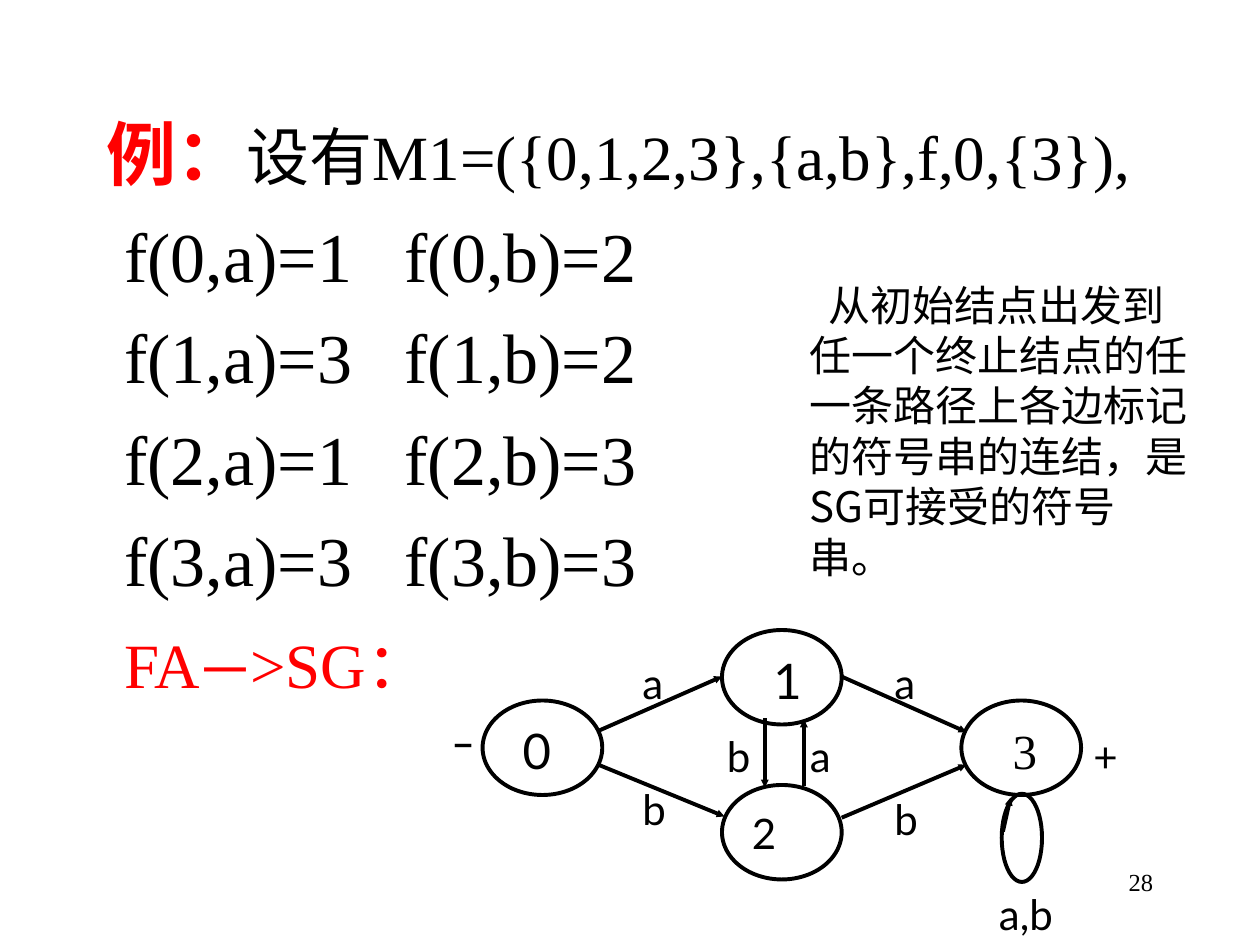
from dataclasses import dataclass
from typing import NamedTuple

from lxml.etree import SubElement
from pptx import Presentation
from pptx.dml.color import RGBColor
from pptx.enum.shapes import MSO_CONNECTOR as Connector, MSO_SHAPE as Preset
from pptx.enum.text import MSO_ANCHOR as Anchor, PP_ALIGN as Align
from pptx.oxml.ns import qn
from pptx.util import Emu, Pt

PX = 9144  # 100 px to the inch


@dataclass(frozen=True)
class Theme:
    ink: RGBColor = RGBColor(0, 0, 0)
    accent: RGBColor = RGBColor(255, 0, 0)
    serif: str = "Times New Roman"
    sans: str = "Lato"
    chinese: str = "Noto Sans CJK SC"
    large: int = 40
    body: int = 36
    state: int = 28
    note: int = 24
    number: int = 14
    stroke: float = 2.25


THEME = Theme()


class Box(NamedTuple):
    left: int
    top: int
    width: int
    height: int


class Run(NamedTuple):
    text: str
    size: int = THEME.note
    font: str = THEME.sans
    color: RGBColor = THEME.ink
    bold: bool = False
    spacing: int = 0  # extra points after each character


class State(NamedTuple):
    left: int
    top: int
    label: Run
    indent: int = 0
    anchor: Anchor = Anchor.TOP


class Edge(NamedTuple):
    x1: int
    y1: int
    x2: int
    y2: int


class Label(NamedTuple):
    text: str
    box: Box
    bold: bool = False


def px(*lengths: int) -> list[Emu]:
    return [Emu(length * PX) for length in lengths]


def add_runs(paragraph, runs: list[Run]) -> None:
    for run in runs:
        piece = paragraph.add_run()
        piece.text = run.text
        font_format = {"size": Pt(run.size), "name": run.font, "bold": run.bold}
        for name, value in font_format.items():
            setattr(piece.font, name, value)
        piece.font.color.rgb = run.color
        SubElement(piece.font._element, qn("a:ea"), typeface=THEME.chinese)
        if run.spacing:
            piece.font._element.set("spc", str(run.spacing * 100))


def add_text(shapes, box: Box, runs: list[Run], anchor=Anchor.TOP, align=Align.LEFT):
    frame = shapes.add_textbox(*px(*box)).text_frame
    frame.word_wrap = True
    frame.vertical_anchor = anchor
    frame.paragraphs[0].alignment = align
    add_runs(frame.paragraphs[0], runs)
    return frame


def indent_first_line(paragraph, indent: int) -> None:
    layout = {"marL": 0, "indent": indent * PX, "hangingPunct": 0}
    for name, value in layout.items():
        paragraph._p.get_or_add_pPr().set(name, str(value))


def add_ellipse(shapes, box: Box):
    ellipse = shapes.add_shape(Preset.OVAL, *px(*box))
    ellipse.shadow.inherit = False
    ellipse.fill.background()
    ellipse.line.color.rgb = THEME.ink
    ellipse.line.width = Pt(THEME.stroke)
    return ellipse


def add_state(shapes, state: State) -> None:
    frame = add_ellipse(shapes, Box(state.left, state.top, 95, 75)).text_frame
    frame.vertical_anchor = state.anchor
    name = frame.paragraphs[0]
    name.alignment = Align.LEFT
    indent_first_line(name, state.indent)
    add_runs(name, [state.label])


def add_edge(shapes, edge: Edge) -> None:
    arrow = shapes.add_connector(Connector.STRAIGHT, *px(*edge))
    arrow.line.color.rgb = THEME.ink
    arrow.line.width = Pt(THEME.stroke)
    SubElement(arrow.line._get_or_add_ln(), qn("a:tailEnd"),
               type="triangle", w="sm", len="sm")
    SubElement(arrow._element.spPr, qn("a:effectLst"))


# Content
DEFINITION = [
    Run("例：", THEME.large, THEME.serif, THEME.accent, True),
    Run("设有M1=({0,1,2,3},{a,b},f,0,{3}),", THEME.body, THEME.serif),
]
TRANSITIONS = [(1, 2), (3, 2), (1, 3), (3, 3)]
COLUMN_GAP = Run(" ", THEME.large, THEME.serif, spacing=20)
GRAPH_HEADING = [
    Run("FA", THEME.body, THEME.serif, THEME.accent),
    Run("—", THEME.body, THEME.sans, THEME.accent),
    Run(">SG：", THEME.body, THEME.serif, THEME.accent),
]
ACCEPTANCE = ("从初始结点出发到任一个终止结点的任一条路径上各边标记的符号串的连结，"
              "是SG可接受的符号串。")
STATES = [
    State(573, 500, Run("1", THEME.state), 17),
    State(573, 623, Run("2"), anchor=Anchor.MIDDLE),
    State(383, 556, Run("0", THEME.state), 8),
    State(763, 556, Run("3", THEME.state, THEME.serif), 17),
]
EDGES = [
    Edge(607, 570, 607, 625), Edge(638, 624, 638, 571),
    Edge(475, 580, 573, 537), Edge(475, 607, 575, 648),
    Edge(668, 537, 767, 581), Edge(668, 649, 767, 607),
    Edge(796, 660, 802, 633),
]
SELF_LOOP = Box(795, 630, 32, 70)
LABELS = [
    Label("a", Box(500, 517, 38, 50)), Label("b", Box(500, 617, 38, 50)),
    Label("a", Box(700, 517, 38, 50)), Label("b", Box(700, 625, 38, 50)),
    Label("a", Box(633, 575, 38, 50)), Label("b", Box(567, 575, 38, 50)),
    Label("a,b", Box(783, 700, 75, 50)),
    Label("_", Box(350, 550, 58, 90), True), Label("+", Box(858, 575, 58, 50)),
]


def transition_row(state: int, on_a: int, on_b: int) -> list[Run]:
    return [Run(f"f({state},a)={on_a}", THEME.large, THEME.serif), COLUMN_GAP,
            Run(f"f({state},b)={on_b}", THEME.large, THEME.serif)]


def main() -> None:
    deck = Presentation()
    deck.slide_width, deck.slide_height = px(1000, 750)
    slide = deck.slides.add_slide(deck.slide_layouts[6])

    # Slide number
    add_text(slide.shapes, Box(717, 683, 208, 50),
             [Run("28", THEME.number, THEME.serif)], align=Align.RIGHT)

    # Automaton definition
    body = add_text(slide.shapes, Box(75, 83, 883, 583), DEFINITION, align=Align.JUSTIFY)
    rows = [(transition_row(state, *targets), 10)
            for state, targets in enumerate(TRANSITIONS)]
    for runs, space in rows + [(GRAPH_HEADING, 14)]:
        paragraph = body.add_paragraph()
        indent_first_line(paragraph, 14)
        paragraph.alignment = Align.JUSTIFY
        paragraph.space_before = Pt(space)
        add_runs(paragraph, runs)

    # State graph
    graph = slide.shapes.add_group_shape().shapes
    for state in STATES:
        add_state(graph, state)
    add_ellipse(graph, SELF_LOOP)
    for edge in EDGES:
        add_edge(graph, edge)
    for label in LABELS:
        add_text(graph, label.box, [Run(label.text, bold=label.bold)])

    # Acceptance rule
    rule = add_text(slide.shapes, Box(633, 233, 325, 217),
                    [Run(ACCEPTANCE, font=THEME.chinese)], Anchor.MIDDLE)
    indent_first_line(rule.paragraphs[0], 15)

    deck.save("out.pptx")


if __name__ == "__main__":
    main()
